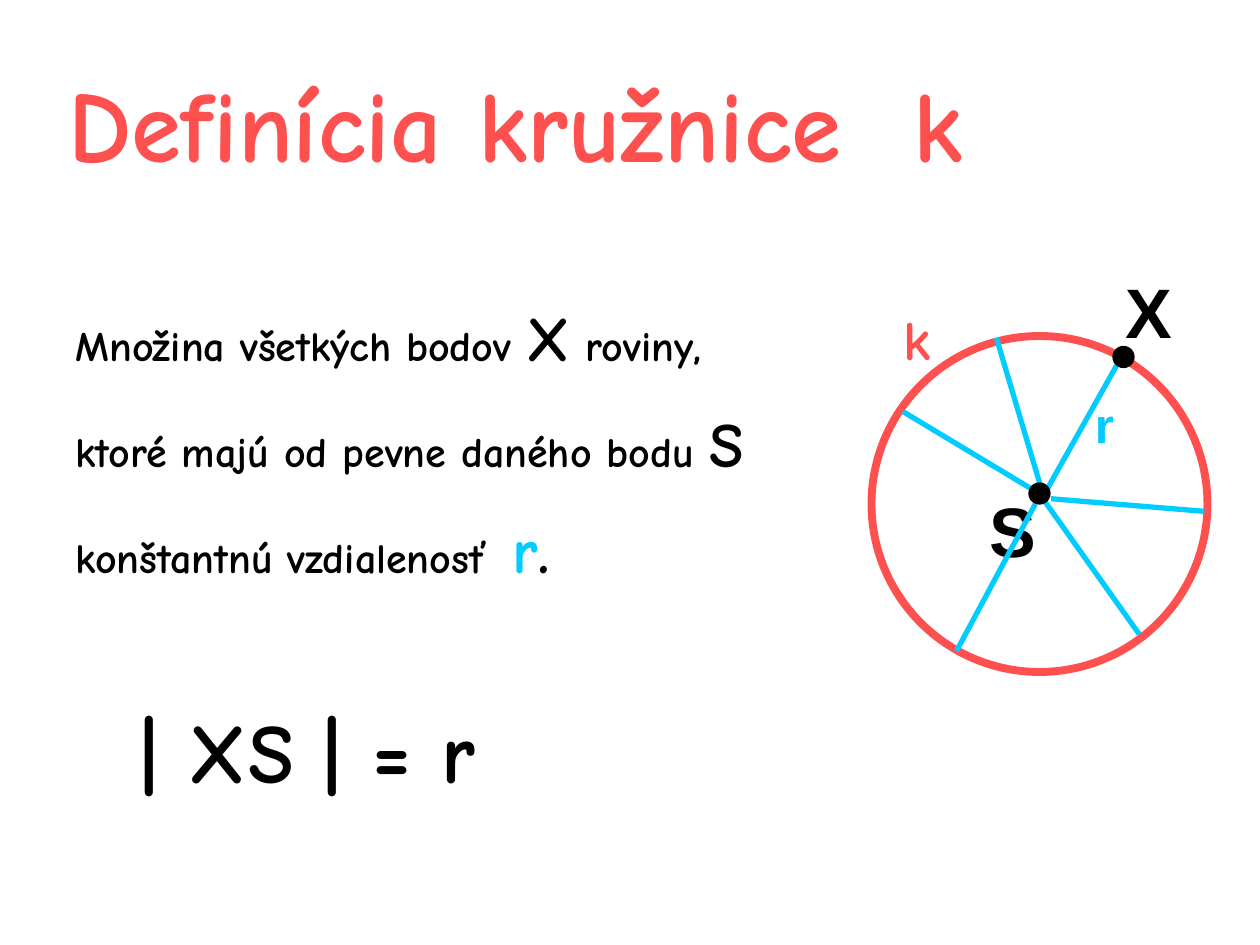
from lxml.etree import SubElement
from pptx import Presentation
from pptx.dml.color import RGBColor
from pptx.enum.shapes import MSO_CONNECTOR, MSO_SHAPE
from pptx.enum.text import MSO_ANCHOR, MSO_AUTO_SIZE, PP_ALIGN
from pptx.oxml.ns import qn
from pptx.util import Inches, Pt

RED, BLUE, BLACK, WHITE = "FF5050", "00CCFF", "000000", "FFFFFF"
COMIC, ARIAL = "Comic Neue", "Arial"


def paint(target, tint):
    target.rgb = RGBColor.from_string(tint)


class Board:
    """Draws on one slide, with lengths in cells of a 120 by 90 grid."""

    def __init__(self):
        self.deck = Presentation()
        self.deck.slide_width, self.deck.slide_height = Inches(10), Inches(7.5)
        self.slide = self.deck.slides.add_slide(self.deck.slide_layouts[6])
        self.cell = self.deck.slide_width / 120

    def grid(self, *cells):
        return [round(cell * self.cell) for cell in cells]

    def disc(self, kind, area, fill, edge, width):
        shape = self.slide.shapes.add_shape(kind, *self.grid(*area))
        shape.shadow.inherit = False
        shape.fill.solid()
        paint(shape.fill.fore_color, fill)
        paint(shape.line.color, edge)
        shape.line.width = Pt(width)

    def spoke(self, start, end):
        line = self.slide.shapes.add_connector(
            MSO_CONNECTOR.STRAIGHT, *self.grid(*start, *end))
        paint(line.line.color, BLUE)
        line.line.width = Pt(3)
        SubElement(line._element.spPr, qn("a:effectLst"))

    def text(self, area, rows, font=COMIC, wrap=False, space=1.0,
             align=PP_ALIGN.LEFT, stop=None):
        box = self.slide.shapes.add_textbox(*self.grid(*area))
        frame = box.text_frame
        frame.word_wrap = wrap
        frame.auto_size = MSO_AUTO_SIZE.SHAPE_TO_FIT_TEXT
        for i, row in enumerate(rows):
            para = frame.add_paragraph() if i else frame.paragraphs[0]
            para.alignment, para.line_spacing = align, space
            if stop:
                tabs = SubElement(para._p.get_or_add_pPr(), qn("a:tabLst"))
                SubElement(tabs, qn("a:tab"), pos=str(Inches(stop)), algn="l")
            for words, size, tint in row:
                run = para.add_run()
                run.text = words
                run.font.name, run.font.size = font, Pt(size)
                run.font.bold = True
                paint(run.font.color, tint)
        return frame

    def title(self, area, words, size, tint, stop):
        frame = self.text(area, [[(words, size, tint)]], wrap=True, stop=stop)
        frame.auto_size = MSO_AUTO_SIZE.NONE
        frame.vertical_anchor = MSO_ANCHOR.BOTTOM

    def label(self, area, words, size, tint, font=ARIAL, align=PP_ALIGN.LEFT,
              wrap=False):
        self.text(area, [[(words, size, tint)]], font, wrap, align=align)


def main():
    board = Board()
    board.disc(MSO_SHAPE.OVAL, (83, 32, 32, 32), WHITE, RED, 4.5)
    board.title((5.3, 2, 102, 16), "Definícia kružnice\tk", 58, RED, 6.71)
    board.text((6, 25, 76, 38.2), [
        [("Množina všetkých bodov ", 24, BLACK), ("X", 36, BLACK),
         (" roviny,", 24, BLACK)],
        [("ktoré majú od pevne daného bodu ", 24, BLACK), ("S", 36, BLACK)],
        [("konštantnú vzdialenosť\t", 24, BLACK), ("r", 36, BLUE),
         (".", 36, BLACK)],
    ], wrap=True, space=1.4, stop=3.47)
    board.label((84.9, 28.4, 4.9, 7.7), "k", 32, RED, COMIC)
    board.label((12.2, 66, 38, 10.8), "| XS | = r", 48, BLACK, COMIC,
                wrap=True)
    for area, name in (((93.1, 45.8, 6.8, 9.2), "S"),
                       ((106, 25, 6.8, 9.2), "X")):
        board.label(area, name, 40, BLACK, align=PP_ALIGN.CENTER)
    for start, end in (
        ((99.5, 47), (106.8, 34)),
        ((99.4, 47.3), (94.9, 32.2)),
        ((98.8, 46.9), (86, 39.2)),
        ((98.6, 48), (91.1, 62)),
        ((108.5, 60.4), (99.4, 47.6)),
        ((100.1, 47.5), (114.7, 48.7)),
    ):
        board.spoke(start, end)
    board.label((103.1, 37, 4.2, 6.8), "r", 28, BLUE)
    for left, top in ((106, 33), (98, 46)):
        board.disc(MSO_SHAPE.FLOWCHART_CONNECTOR, (left, top, 2, 2),
                   BLACK, BLACK, 0.75)
    board.deck.save("out.pptx")


if __name__ == "__main__":
    main()
